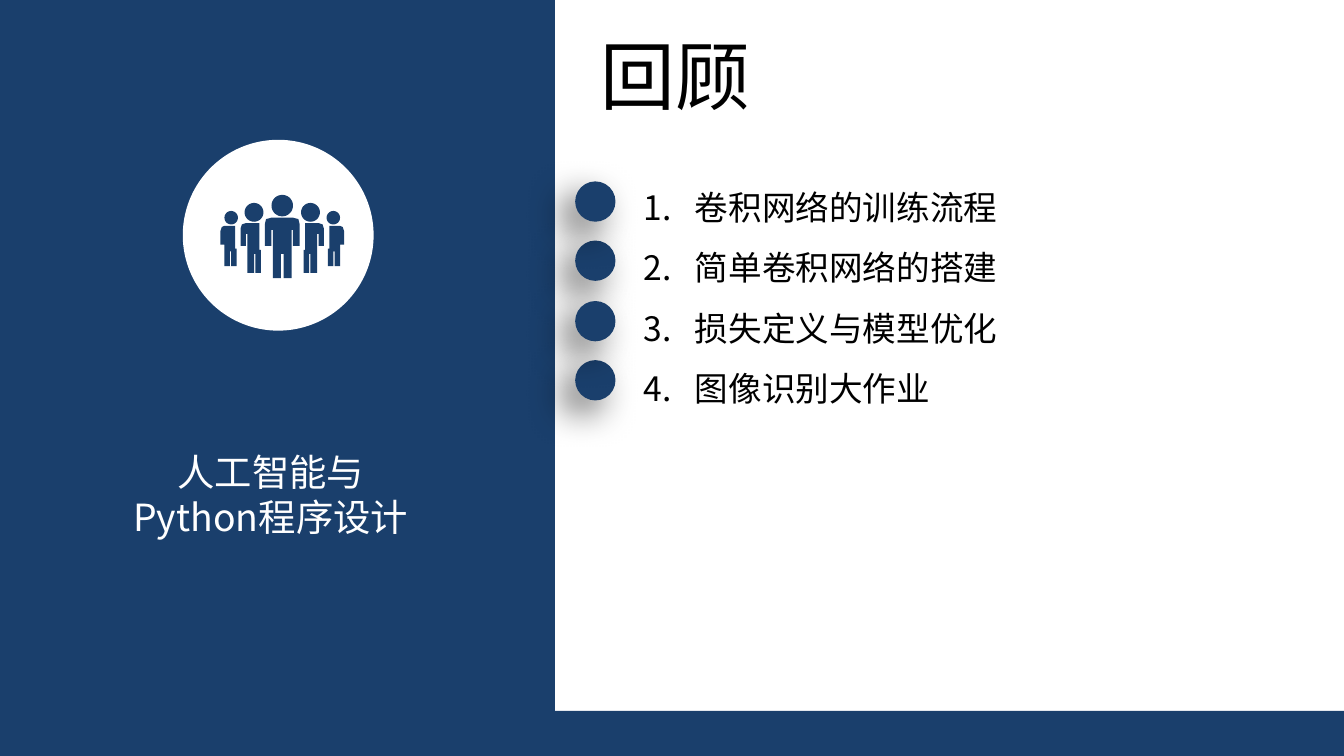
import math

import pptx
import pptx.dml.color
import pptx.enum.shapes
import pptx.enum.text
import pptx.oxml
import pptx.oxml.ns
import pptx.util
from pptx.util import Inches

COLORS = {"navy": "1A3F6C", "white": "FFFFFF", "black": "000000"}
FONT = "Noto Sans CJK SC"
NAMESPACE = pptx.oxml.ns.nsdecls("a")
ALIGN = pptx.enum.text.PP_ALIGN
SHAPE = pptx.enum.shapes.MSO_SHAPE


def add_span(para, text, size, color):
    span = para.add_run()
    span.text = text
    span.font.size = pptx.util.Pt(size)
    span.font.name = FONT
    span.font.color.rgb = pptx.dml.color.RGBColor.from_string(COLORS[color])
    span.font._element.append(
        pptx.oxml.parse_xml(f'<a:ea {NAMESPACE} typeface="{FONT}"/>'))


def paint(shape, color):
    shape.shadow.inherit = False
    shape.fill.solid()
    shape.fill.fore_color.rgb = pptx.dml.color.RGBColor.from_string(COLORS[color])
    shape.line.fill.background()


deck = pptx.Presentation()
deck.slide_width = Inches(10)
deck.slide_height = deck.slide_width * 9 // 16
page = deck.slides.add_slide(deck.slide_layouts[1])

# Bottom bar and left panel
bar_top = Inches(5.29)
for left, top, width in [(0, bar_top, deck.slide_width), (0, 0, Inches(4.13))]:
    panel = page.shapes.add_shape(
        SHAPE.RECTANGLE, left, top, width, deck.slide_height - top)
    paint(panel, "navy")

# Title
title = page.shapes.title
title.left, title.top = Inches(4.37), Inches(0.17)
title.width, title.height = Inches(1.32), Inches(0.77)
frame = title.text_frame
frame.word_wrap = False
frame.auto_size = pptx.enum.text.MSO_AUTO_SIZE.NONE
frame.vertical_anchor = pptx.enum.text.MSO_ANCHOR.TOP
frame.paragraphs[0].alignment = ALIGN.LEFT
add_span(frame.paragraphs[0], "回顾", 40, "black")

# Course name
course = page.shapes.add_textbox(
    Inches(0.54), Inches(3.34), Inches(2.95), Inches(0.67))
frame = course.text_frame
frame.word_wrap = True
frame.margin_left = frame.margin_right = frame.margin_top = frame.margin_bottom = 0
for index, line in enumerate(["人工智能与", "Python程序设计"]):
    para = frame.add_paragraph() if index else frame.paragraphs[0]
    para.alignment = ALIGN.CENTER
    add_span(para, line, 20, "white")

# People icon: the two left figures are mirrored to the right
badge = page.shapes.add_group_shape()
disc = badge.shapes.add_shape(
    SHAPE.OVAL, Inches(1.36), Inches(1.04), Inches(1.42), Inches(1.42))
paint(disc, "white")

axis = 2.1
outer_body = [
    (1.76, 1.85), (1.76, 1.98), (1.72, 1.98), (1.72, 1.87), (1.71, 1.87),
    (1.71, 1.98), (1.67, 1.98), (1.67, 1.82), (1.64, 1.82), (1.64, 1.72),
    (1.65, 1.69), (1.67, 1.68), (1.75, 1.68), (1.75, 1.85)]
inner_body = [
    (1.94, 1.86), (1.94, 2.03), (1.9, 2.03), (1.9, 1.89), (1.89, 1.89),
    (1.89, 2.03), (1.84, 2.03), (1.84, 1.74), (1.83, 1.74), (1.83, 1.83),
    (1.79, 1.83), (1.79, 1.7), (1.8, 1.67), (1.83, 1.66), (1.93, 1.66),
    (1.93, 1.86)]
middle_half = [
    (2.09, 1.89), (2.09, 2.07), (2.03, 2.07), (2.03, 1.71), (2.02, 1.71),
    (2.02, 1.83), (1.97, 1.83), (1.97, 1.67), (1.98, 1.63), (2.02, 1.62)]
heads = [
    [(x + radius * math.cos(math.tau * step / 36),
      y + radius * math.sin(math.tau * step / 36)) for step in range(36)]
    for x, y, radius in [(1.72, 1.62, 0.05), (1.89, 1.58, 0.07), (axis, 1.53, 0.08)]]
side_outlines = [outer_body, inner_body, *heads[:2]]
mirrored = [[(2 * axis - x, y) for x, y in outline] for outline in side_outlines]
middle_body = middle_half + [(2 * axis - x, y) for x, y in reversed(middle_half)]

builder = None
for outline in side_outlines + mirrored + [middle_body, heads[2]]:
    points = [(Inches(x), Inches(y)) for x, y in outline]
    if builder is None:
        builder = badge.shapes.build_freeform(*points[0])
    else:
        builder.move_to(*points[0])
    builder.add_line_segments(points[1:], close=True)
paint(builder.convert_to_shape(), "navy")

# Numbered topics
topics = page.placeholders[1]
topics.left, topics.top = Inches(4.69), Inches(1.19)
topics.width, topics.height = Inches(4.21), Inches(1.87)
frame = topics.text_frame
frame.auto_size = pptx.enum.text.MSO_AUTO_SIZE.NONE
lines = ["卷积网络的训练流程", "简单卷积网络的搭建", "损失定义与模型优化", "图像识别大作业"]
for index, line in enumerate(lines):
    para = frame.add_paragraph() if index else frame.paragraphs[0]
    para.line_spacing = 1.5
    para.space_before = pptx.util.Pt(0)
    properties = para._p.get_or_add_pPr()
    properties.set("marL", str(Inches(0.38)))
    properties.set("indent", str(Inches(-0.38)))
    properties.append(pptx.oxml.parse_xml(f'<a:buFont {NAMESPACE} typeface="+mj-lt"/>'))
    properties.append(
        pptx.oxml.parse_xml(f'<a:buAutoNum {NAMESPACE} type="arabicPeriod"/>'))
    add_span(para, line, 18, "black")

# Dots with a soft shadow to the lower left
for top in [1.79, 1.35, 2.68, 2.24]:
    dot = page.shapes.add_shape(
        SHAPE.OVAL, Inches(4.28), Inches(top), Inches(0.3), Inches(0.3))
    paint(dot, "navy")
    effects = dot._element.spPr.find(pptx.oxml.ns.qn("a:effectLst"))
    effects.append(pptx.oxml.parse_xml(
        f'<a:outerShdw {NAMESPACE} blurRad="{pptx.util.Pt(20)}" '
        f'dist="{pptx.util.Pt(10)}" dir="{135 * 60000}" algn="tr" rotWithShape="0">'
        f'<a:srgbClr val="{COLORS["black"]}"><a:alpha val="60000"/></a:srgbClr>'
        '</a:outerShdw>'))

deck.save("out.pptx")
